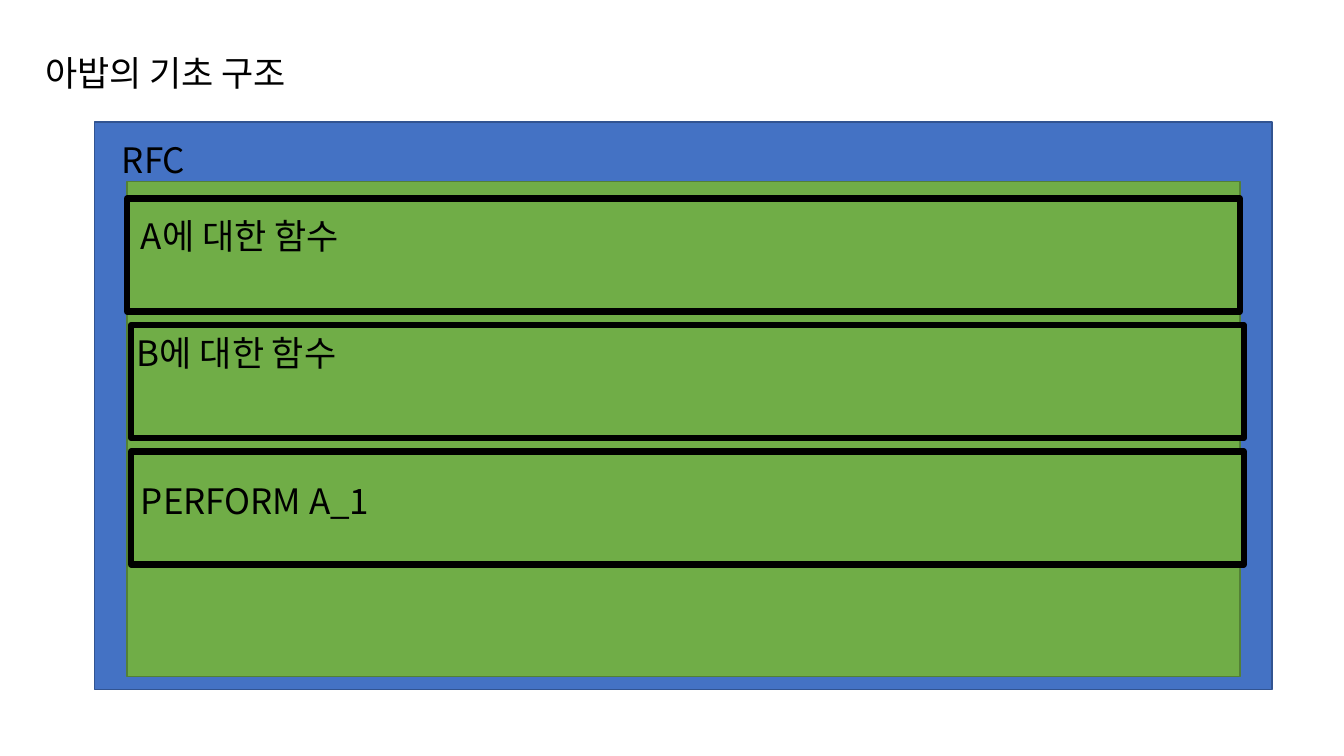
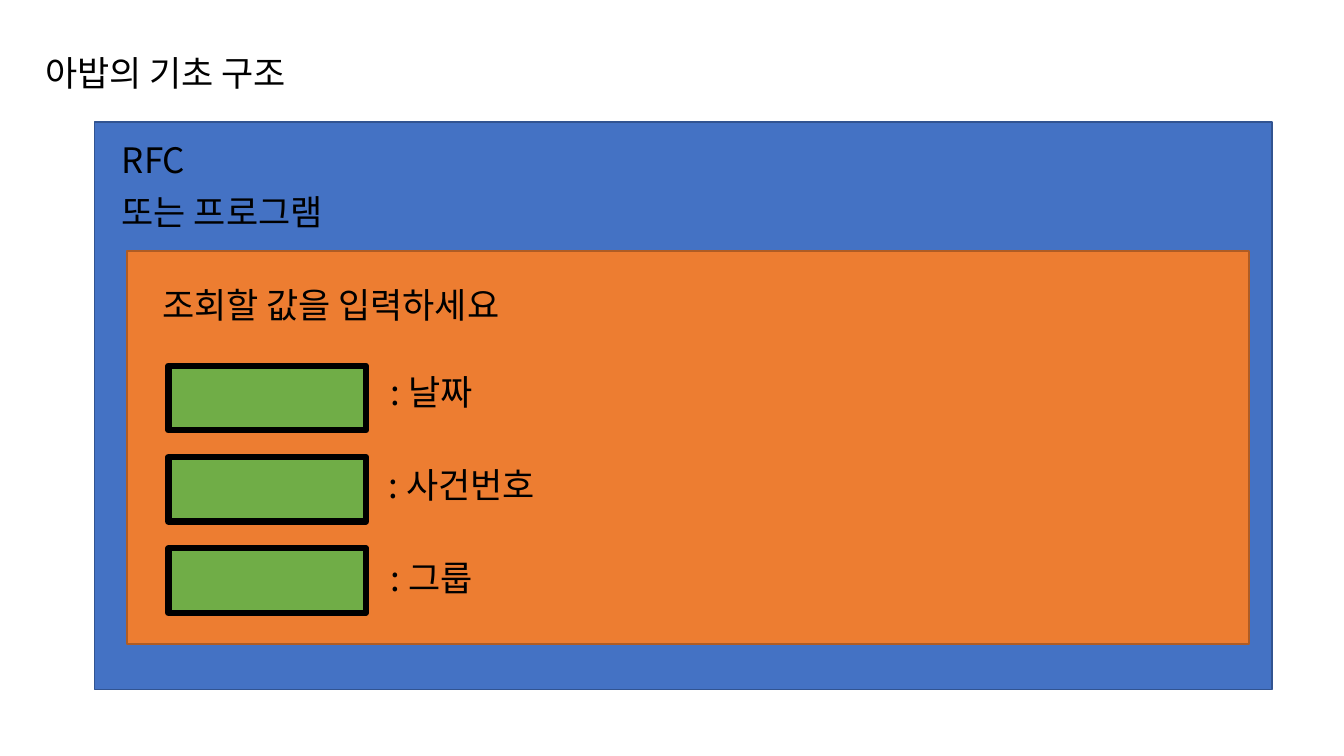
from dataclasses import dataclass

from lxml.etree import SubElement
from pptx import Presentation
from pptx.dml.color import RGBColor
from pptx.enum.shapes import MSO_SHAPE
from pptx.enum.text import MSO_ANCHOR, MSO_AUTO_SIZE, PP_ALIGN
from pptx.oxml.ns import qn
from pptx.util import Inches, Pt

SLIDE_WIDTH, SLIDE_HEIGHT = Inches(13.33), Inches(7.5)
COLUMNS, ROWS = 40, 30
TEXT_SIZE = (17.67, 4.48)
TITLE_ONLY = 5


@dataclass(frozen=True)
class Theme:
    font: str = "Noto Sans CJK KR"
    text_size: float = 25
    text: str = "000000"
    frame: tuple = ("4472C4", "325491", 1)
    program: tuple = ("70AD47", "538035", 1)
    screen: tuple = ("ED7D31", "AF5C24", 1)
    block: tuple = ("70AD47", "000000", 4.5)


THEME = Theme()
FRAME_FORMAT = {
    "word_wrap": True,
    "auto_size": MSO_AUTO_SIZE.NONE,
    "vertical_anchor": MSO_ANCHOR.TOP,
}
PARAGRAPH_FORMAT = {
    "alignment": PP_ALIGN.LEFT,
    "line_spacing": 0.9,
    "space_before": Pt(10),
}
FONT_FORMAT = {"name": THEME.font, "size": Pt(THEME.text_size)}


def apply_format(target, values):
    for name, value in values.items():
        setattr(target, name, value)


def grid_box(column, row, columns, rows):
    return (
        round(SLIDE_WIDTH * column / COLUMNS),
        round(SLIDE_HEIGHT * row / ROWS),
        round(SLIDE_WIDTH * columns / COLUMNS),
        round(SLIDE_HEIGHT * rows / ROWS),
    )


def write_lines(shape, lines):
    frame = shape.text_frame
    frame.text = "\n".join(lines)
    apply_format(frame, FRAME_FORMAT)
    for paragraph in frame.paragraphs:
        apply_format(paragraph, PARAGRAPH_FORMAT)
        for run in paragraph.runs:
            apply_format(run.font, FONT_FORMAT)
            run.font.color.rgb = RGBColor.from_string(THEME.text)
            properties = run.font._element
            SubElement(properties, qn("a:ea"), typeface=THEME.font)


def add_text(slide, column, row, *lines):
    write_lines(slide.shapes.add_textbox(*grid_box(column, row, *TEXT_SIZE)), lines)


def add_panel(slide, box, style):
    fill, line, width = style
    shape = slide.shapes.add_shape(MSO_SHAPE.RECTANGLE, *grid_box(*box))
    shape.shadow.inherit = False
    shape.fill.solid()
    shape.fill.fore_color.rgb = RGBColor.from_string(fill)
    shape.line.color.rgb = RGBColor.from_string(line)
    shape.line.width = Pt(width)


def add_structure_slide(presentation, *frame_lines):
    slide = presentation.slides.add_slide(presentation.slide_layouts[TITLE_ONLY])
    title = slide.shapes.title
    box = grid_box(1.05, 2.04, *TEXT_SIZE)
    apply_format(title, dict(zip(("left", "top", "width", "height"), box)))
    write_lines(title, ["아밥의 기초 구조"])
    add_panel(slide, (2.82, 4.84, 35.04, 22.52), THEME.frame)
    add_text(slide, 3.33, 5.48, *frame_lines)
    return slide


def add_function_slide(presentation):
    slide = add_structure_slide(presentation, "RFC")
    add_panel(slide, (3.78, 7.2, 33.12, 19.64), THEME.program)
    functions = [
        ("A에 대한 함수", 3.78, 3.9, 0.64),
        ("B에 대한 함수", 3.9, 3.78, 0.24),
        ("PERFORM A_1", 3.9, 3.9, 1.12),
    ]
    for index, (label, block_column, text_column, text_drop) in enumerate(functions):
        row = 7.88 + index * 5.02
        add_panel(slide, (block_column, row, 33.12, 4.48), THEME.block)
        add_text(slide, text_column, row + text_drop, label)


def add_input_slide(presentation):
    slide = add_structure_slide(presentation, "RFC", "또는 프로그램")
    add_panel(slide, (3.78, 9.96, 33.39, 15.6), THEME.screen)
    add_text(slide, 4.53, 11.24, "조회할 값을 입력하세요")
    fields = [(": 날짜", 11.34), (": 사건번호", 11.28), (": 그룹", 11.34)]
    for index, (label, text_column) in enumerate(fields):
        add_panel(slide, (5.01, 14.52 + index * 3.62, 5.88, 2.56), THEME.block)
        add_text(slide, text_column, 14.68 + index * 3.7, label)


def main():
    presentation = Presentation()
    presentation.slide_width = SLIDE_WIDTH
    presentation.slide_height = SLIDE_HEIGHT
    add_function_slide(presentation)
    add_input_slide(presentation)
    presentation.save("out.pptx")


if __name__ == "__main__":
    main()
